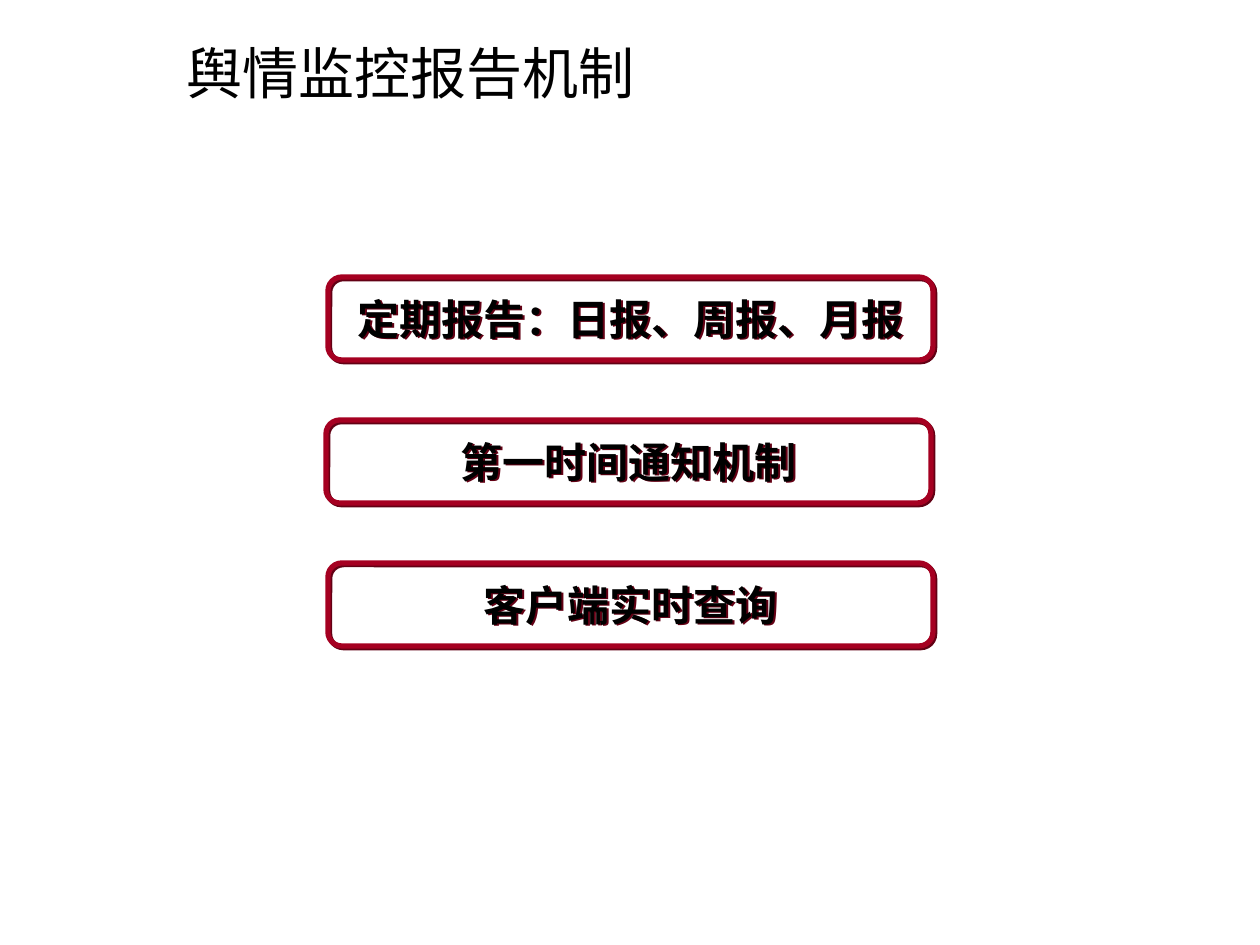
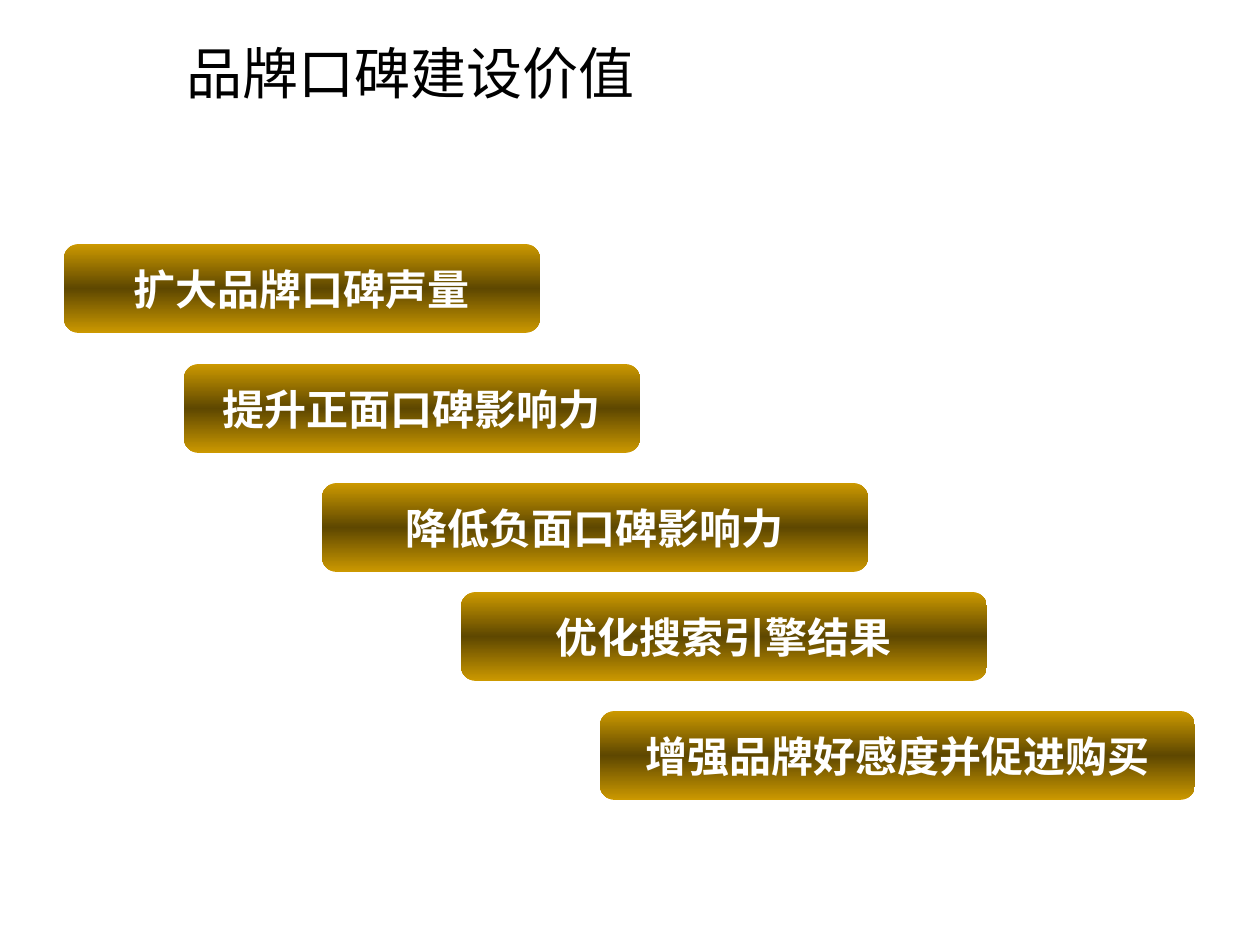
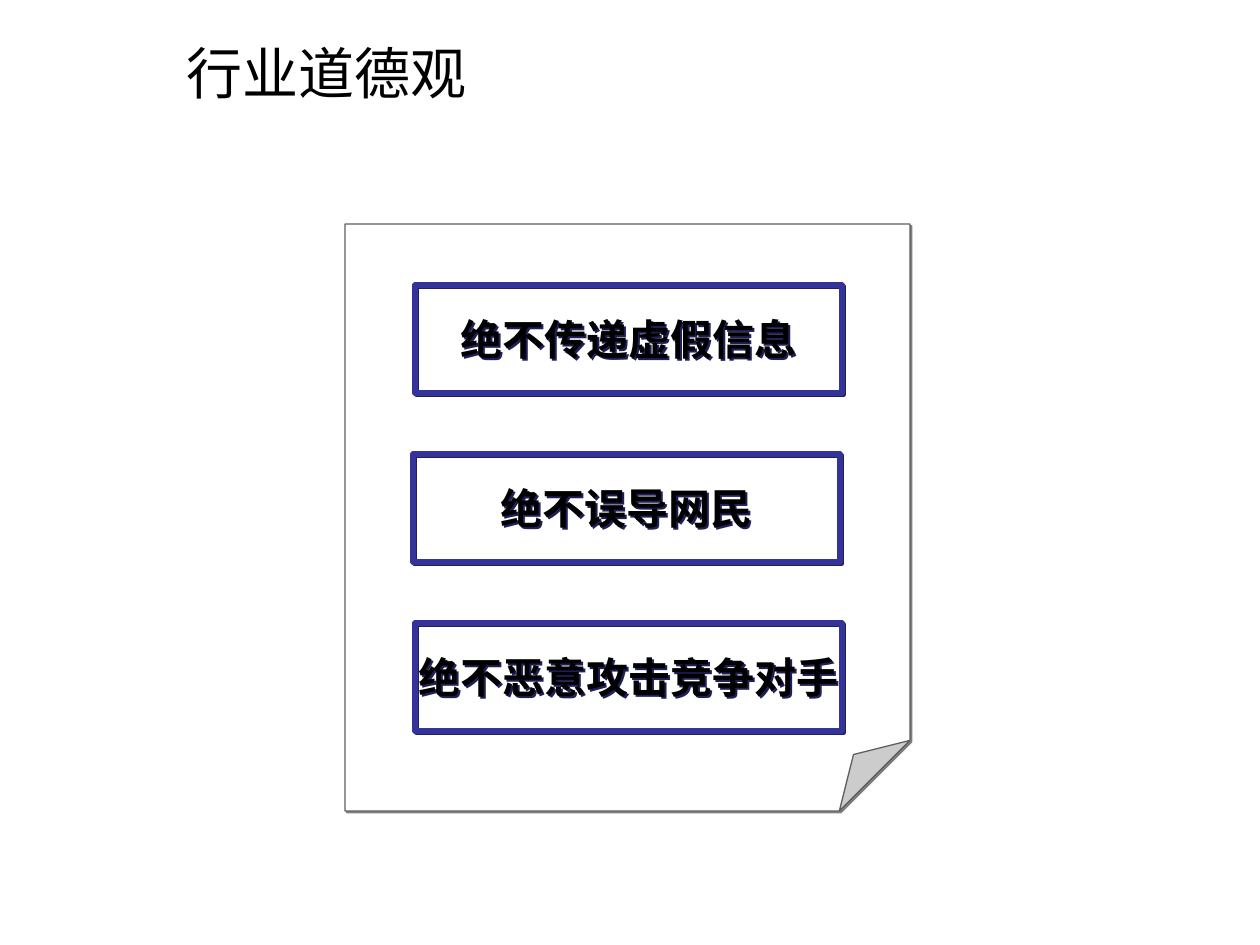
"""Build three slides on reputation monitoring, brand value and industry ethics."""
from copy import deepcopy
from dataclasses import dataclass
from typing import Optional

from pptx import Presentation
from pptx.dml.color import RGBColor
from pptx.enum.shapes import MSO_SHAPE
from pptx.enum.text import MSO_ANCHOR, PP_ALIGN
from pptx.oxml import parse_xml
from pptx.oxml.ns import nsdecls, qn
from pptx.oxml.xmlchemy import OxmlElement
from pptx.util import Pt

ROUND, RECT, NOTE = MSO_SHAPE.ROUNDED_RECTANGLE, MSO_SHAPE.RECTANGLE, MSO_SHAPE.FOLDED_CORNER
MIDDLE = MSO_ANCHOR.MIDDLE
LEFT, CENTER = PP_ALIGN.LEFT, PP_ALIGN.CENTER
EMU_PER_PX = 914400 / 126
SLIDE_W, SLIDE_H = 1260, 945


@dataclass(frozen=True)
class Theme:
    """Colours, fonts and type sizes of the deck."""
    text: str = "000000"
    white: str = "FFFFFF"
    red: str = "A50021"
    red_shadow: str = "630014"
    blue: str = "333399"
    blue_shadow: str = "1F1F5C"
    grey: str = "5F5F5F"
    grey_shadow: str = "808080"
    gold: str = "CC9900"
    dark_gold: str = "5E4700"
    latin: str = "Arial"
    cjk: str = "Noto Sans CJK SC"
    title_size: int = 32
    label_size: int = 24


THEME = Theme()


@dataclass(frozen=True)
class Style:
    """Look of one kind of box."""
    preset: int
    text: str = THEME.text
    fill: Optional[str] = None
    gradient: tuple[str, ...] = ()
    line: Optional[str] = None
    line_width: float = 3
    shadow: Optional[str] = None
    adjust: Optional[int] = None


@dataclass(frozen=True)
class Box:
    """Position and label of one box, in px."""
    x: int
    y: int
    w: int
    h: int
    label: str = ""
    font: str = THEME.latin


RED_FRAME = Style(ROUND, line=THEME.red, shadow=THEME.red_shadow)
BLUE_FRAME = Style(RECT, line=THEME.blue, shadow=THEME.blue_shadow)
GOLD_BAR = Style(ROUND, text=THEME.white, gradient=(THEME.gold, THEME.dark_gold, THEME.gold))
PAPER = Style(NOTE, fill=THEME.white, line=THEME.grey, line_width=0.75,
              shadow=THEME.grey_shadow, adjust=12500)


def px(n: int) -> int:
    """Turn px into EMU."""
    return round(n * EMU_PER_PX)


def rgb(color: str) -> RGBColor:
    """Turn a hex string into a colour."""
    return RGBColor.from_string(color)


def write(s, text: str, size: int, color: str, font: str, align, bold: bool = False) -> None:
    """Write one vertically centred paragraph into a shape."""
    tf = s.text_frame
    tf.vertical_anchor = MIDDLE
    p = tf.paragraphs[0]
    p.text, p.alignment = text, align
    p.font.size, p.font.bold, p.font.name = Pt(size), bold, font
    p.font.color.rgb = rgb(color)
    ea = OxmlElement("a:ea")
    ea.set("typeface", THEME.cjk)
    p.font._element.find(qn("a:latin")).addnext(ea)


def fill_gradient(s, colors: tuple[str, ...]) -> None:
    """Fill a shape with evenly spaced colours from top to bottom."""
    s.fill.gradient()
    s.fill.gradient_angle = 270
    stops = s._element.spPr.find(".//" + qn("a:gsLst"))
    for _ in colors[2:]:
        stops.append(deepcopy(stops[0]))
    for i, (stop, color) in enumerate(zip(s.fill.gradient_stops, colors)):
        stop.position = i / (len(colors) - 1)
        stop.color.rgb = rgb(color)


def add_shadow(s, color: str) -> None:
    """Give a shape a hard shadow to the lower right."""
    s._element.spPr.find(qn("a:effectLst")).append(parse_xml(
        f'<a:outerShdw {nsdecls("a")} dist="17780" dir="2700000" algn="ctr" rotWithShape="0">'
        f'<a:srgbClr val="{color}"/></a:outerShdw>'))


def set_adjust(s, value: int) -> None:
    """Set the single adjustment of a preset shape, in thousandths of a percent."""
    guide = OxmlElement("a:gd")
    guide.set("name", "adj")
    guide.set("fmla", f"val {value}")
    s._element.spPr.find(".//" + qn("a:avLst")).append(guide)


def add_box(slide, box: Box, style: Style) -> None:
    """Draw a box with its label."""
    s = slide.shapes.add_shape(style.preset, px(box.x), px(box.y), px(box.w), px(box.h))
    if style.adjust is not None:
        set_adjust(s, style.adjust)
    if style.gradient:
        fill_gradient(s, style.gradient)
    elif style.fill:
        s.fill.solid()
        s.fill.fore_color.rgb = rgb(style.fill)
    else:
        s.fill.background()
    if style.line:
        s.line.color.rgb = rgb(style.line)
        s.line.width = Pt(style.line_width)
    else:
        s.line.fill.background()
    s.shadow.inherit = False
    if style.shadow:
        add_shadow(s, style.shadow)
    if box.label:
        s.text_frame.word_wrap = False
        write(s, box.label, THEME.label_size, style.text, box.font, CENTER, bold=True)


def add_titled_slide(prs, title: str):
    """Add a blank slide with the shared title."""
    slide = prs.slides.add_slide(prs.slide_layouts[6])
    s = slide.shapes.add_textbox(px(174), px(38), px(1013), px(68))
    s.text_frame.word_wrap = True
    write(s, title, THEME.title_size, THEME.text, THEME.latin, LEFT)
    return slide


def build_reports(prs) -> None:
    """Build the slide on reporting."""
    slide = add_titled_slide(prs, "舆情监控报告机制")
    rows = ((328, "定期报告：日报、周报、月报", THEME.latin),
            (326, "第一时间通知机制", THEME.cjk),
            (328, "客户端实时查询", THEME.cjk))
    for i, (x, label, font) in enumerate(rows):
        add_box(slide, Box(x, 277 + 143 * i, 605, 83, label, font), RED_FRAME)


def build_values(prs) -> None:
    """Build the slide on the value of brand reputation."""
    slide = add_titled_slide(prs, "品牌口碑建设价值")
    steps = ((64, 244, 476, "扩大品牌口碑声量"),
             (184, 364, 456, "提升正面口碑影响力"),
             (322, 483, 546, "降低负面口碑影响力"),
             (461, 592, 526, "优化搜索引擎结果"),
             (600, 711, 595, "增强品牌好感度并促进购买"))
    for x, y, w, label in steps:
        add_box(slide, Box(x, y, w, 89, label), GOLD_BAR)


def build_ethics(prs) -> None:
    """Build the slide on industry ethics."""
    slide = add_titled_slide(prs, "行业道德观")
    add_box(slide, Box(345, 224, 565, 587), PAPER)
    rules = ((415, "绝不传递虚假信息"), (413, "绝不误导网民"), (415, "绝不恶意攻击竞争对手"))
    for i, (x, label) in enumerate(rules):
        add_box(slide, Box(x, 285 + 169 * i, 427, 108, label), BLUE_FRAME)


def main() -> None:
    """Build and save the deck."""
    prs = Presentation()
    prs.slide_width, prs.slide_height = px(SLIDE_W), px(SLIDE_H)
    build_reports(prs)
    build_values(prs)
    build_ethics(prs)
    prs.save("out.pptx")


if __name__ == "__main__":
    main()
